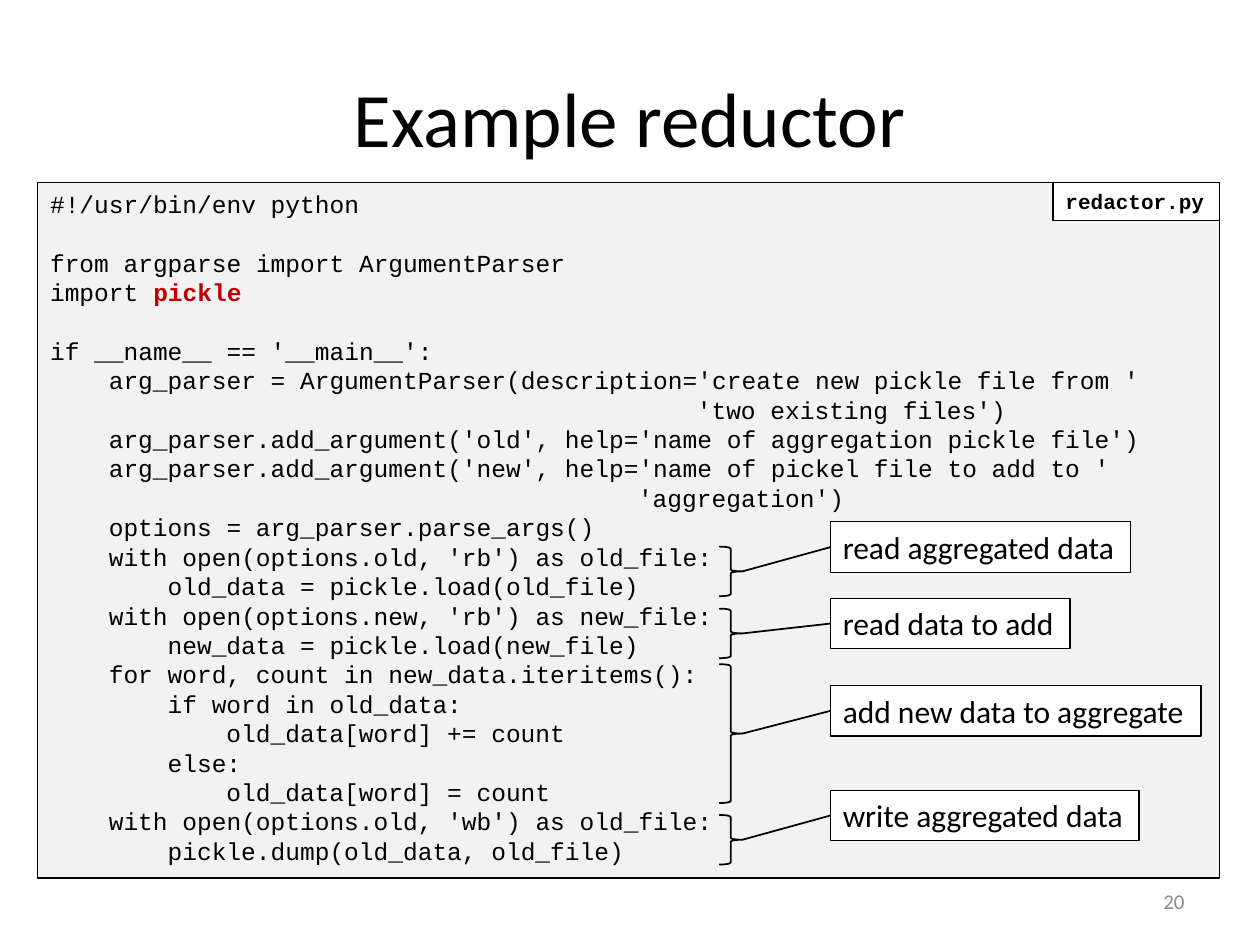
"""Build the slide with the annotated reductor listing."""
import pptx
import pptx.util
import pptx.dml.color
import pptx.enum.shapes
import pptx.enum.text
import pptx.oxml

COLORS = {"ink": "000000", "panel": "F2F2F2", "paper": "FFFFFF",
          "accent": "C00000", "number": "8C8C8C"}
CODE_FONT, TEXT_FONT = "Courier New", "Calibri"
CODE_SIZE = 14
CHARACTER_WIDTH = 0.6 * CODE_SIZE
LINE_HEIGHT = 1.2 * CODE_SIZE
KEYWORD = "pickle"
KEYWORD_LINE = "import pickle"

# indent in characters, code
CODE_BLOCKS = [
    [(0, "#!/usr/bin/env python")],
    [(0, "from argparse import ArgumentParser"),
     (0, "import pickle")],
    [(0, "if __name__ == '__main__':"),
     (4, "arg_parser = ArgumentParser(description='create new pickle file from '"),
     (44, "'two existing files')"),
     (4, "arg_parser.add_argument('old', help='name of aggregation pickle file')"),
     (4, "arg_parser.add_argument('new', help='name of pickel file to add to '"),
     (40, "'aggregation')"),
     (4, "options = arg_parser.parse_args()"),
     (4, "with open(options.old, 'rb') as old_file:"),
     (8, "old_data = pickle.load(old_file)"),
     (4, "with open(options.new, 'rb') as new_file:"),
     (8, "new_data = pickle.load(new_file)"),
     (4, "for word, count in new_data.iteritems():"),
     (8, "if word in old_data:"),
     (12, "old_data[word] += count"),
     (8, "else:"),
     (12, "old_data[word] = count"),
     (4, "with open(options.old, 'wb') as old_file:"),
     (8, "pickle.dump(old_data, old_file)")],
]

# text, label top, label width, brace top, brace height
NOTES = [
    ("read aggregated data", 10.52, 6.05, 11.02, 1.0),
    ("read data to add", 12.06, 4.83, 12.27, 1.0),
    ("add new data to aggregate", 13.82, 7.47, 13.39, 2.8),
    ("write aggregated data", 15.93, 6.22, 16.43, 1.0),
]
BRACE_LEFT, BRACE_WIDTH = 14.5, 0.46
LABEL_LEFT, LABEL_HEIGHT = 16.74, 1.02

Cm, Pt = pptx.util.Cm, pptx.util.Pt
ALIGN = pptx.enum.text.PP_ALIGN
ANCHOR = pptx.enum.text.MSO_ANCHOR
AUTO_SIZE = pptx.enum.text.MSO_AUTO_SIZE


def color(name):
    return pptx.dml.color.RGBColor.from_string(COLORS[name])


def style_font(font, name, size, ink="ink", bold=False):
    font.name, font.size, font.bold = name, Pt(size), bold
    font.color.rgb = color(ink)


def style_line(line, width):
    line.color.rgb = color("ink")
    line.width = Pt(width)


def add_text(box, text, font, size, ink="ink", bold=False,
             align=ALIGN.LEFT, anchor=ANCHOR.TOP, fill=None, wrap=True):
    shape = slide.shapes.add_textbox(*map(Cm, box))
    frame = shape.text_frame
    frame.word_wrap, frame.vertical_anchor = wrap, anchor
    if fill:
        shape.fill.solid()
        shape.fill.fore_color.rgb = color(fill)
        style_line(shape.line, 0.75)
        frame.auto_size = AUTO_SIZE.SHAPE_TO_FIT_TEXT
    frame.text = text
    for paragraph in frame.paragraphs:
        paragraph.alignment = align
        style_font(paragraph.font, font, size, ink, bold)
    return shape


def add_code(box):
    lines = [(indent, line, LINE_HEIGHT if block_index and not line_index else 0)
             for block_index, block in enumerate(CODE_BLOCKS)
             for line_index, (indent, line) in enumerate(block)]
    text = "\n".join(line for _, line, _ in lines)
    panel = add_text(box, text, CODE_FONT, CODE_SIZE, fill="panel")
    for paragraph, (indent, line, gap) in zip(panel.text_frame.paragraphs, lines):
        properties = paragraph._p.get_or_add_pPr()
        properties.set("marL", str(int(Pt(indent * CHARACTER_WIDTH))))
        properties.set("indent", "0")
        paragraph.space_before = Pt(gap)
        if line == KEYWORD_LINE:
            paragraph.runs[0].text = line[:-len(KEYWORD)]
            run = paragraph.add_run()
            run.text = KEYWORD
            style_font(run.font, CODE_FONT, CODE_SIZE, "accent", True)


def add_note(text, label_top, label_width, brace_top, brace_height):
    brace = slide.shapes.add_shape(
        pptx.enum.shapes.MSO_SHAPE.RIGHT_BRACE,
        *map(Cm, (BRACE_LEFT, brace_top, BRACE_WIDTH, brace_height)))
    brace.shadow.inherit = False
    brace.fill.background()
    style_line(brace.line, 1)
    add_text((LABEL_LEFT, label_top, label_width, LABEL_HEIGHT), text,
             TEXT_FONT, 18, fill="paper", wrap=False)
    connector = slide.shapes.add_connector(
        pptx.enum.shapes.MSO_CONNECTOR.STRAIGHT,
        *map(Cm, (LABEL_LEFT, label_top + LABEL_HEIGHT / 2,
                  BRACE_LEFT + BRACE_WIDTH, brace_top + brace_height / 2)))
    style_line(connector.line, 1)
    connector._element.spPr.append(pptx.oxml.parse_xml(
        '<a:effectLst xmlns:a='
        '"http://schemas.openxmlformats.org/drawingml/2006/main"/>'))


presentation = pptx.Presentation()
presentation.slide_width, presentation.slide_height = Cm(25.4), Cm(19.05)
slide = presentation.slides.add_slide(presentation.slide_layouts[6])

add_text((1.27, 0.76, 22.86, 3.18), "Example reductor", TEXT_FONT, 44,
         align=ALIGN.CENTER, anchor=ANCHOR.MIDDLE)
add_text((18.2, 17.66, 5.93, 1.01), "20", TEXT_FONT, 12, "number",
         align=ALIGN.RIGHT, anchor=ANCHOR.MIDDLE)
add_code((0.76, 3.68, 23.83, 14.02))
add_text((21.23, 3.68, 3.36, 0.77), "redactor.py", CODE_FONT, 12, bold=True,
         fill="paper", wrap=False)
for note in NOTES:
    add_note(*note)

presentation.save("out.pptx")
